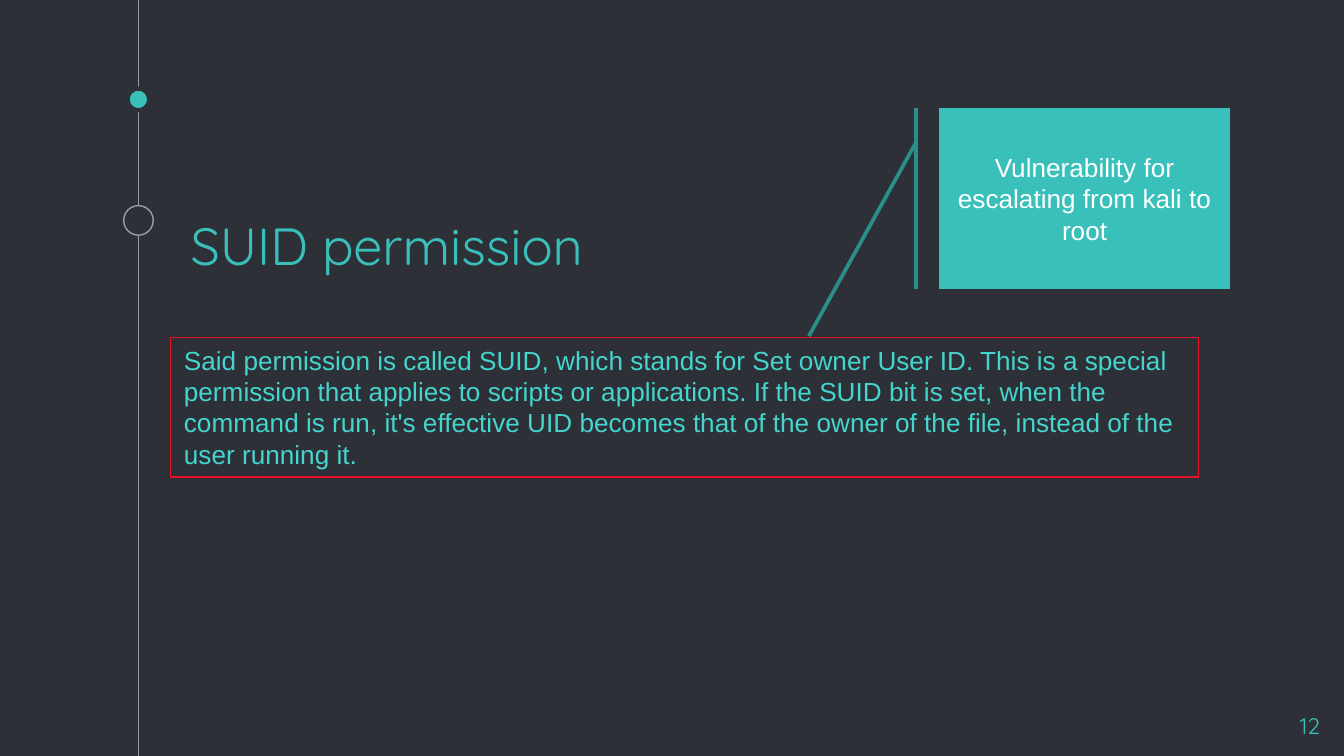
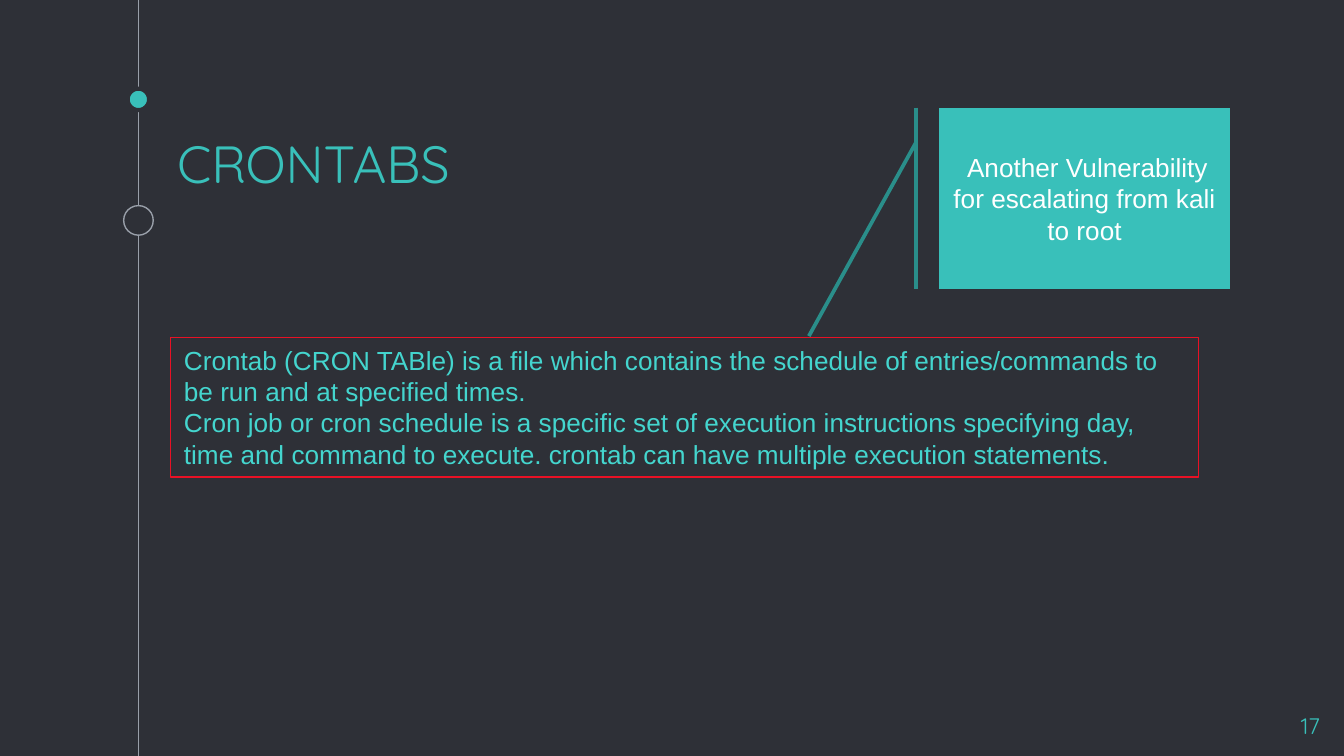
from lxml.etree import SubElement
from pptx import Presentation
from pptx.dml.color import RGBColor
from pptx.enum.shapes import MSO_CONNECTOR as LINE, MSO_SHAPE as SHAPE
from pptx.enum.text import MSO_ANCHOR as ANCHOR, PP_ALIGN as ALIGN
from pptx.oxml.ns import qn
from pptx.util import Inches, Pt

C = {
    "bg": "2E3037", "rail": "999FA9", "teal": "39C0BA", "dark_teal": "2A8E8A",
    "body": "44D5CE", "red": "E91125", "white": "FFFFFF",
}
HEAD, BODY = "Quicksand", "Arial"

# Grid: 100 square cells across a 16:9 slide
COLS, ROWS = 100, 56.25
CELL = Inches(10) // COLS

# Regions as (column, row, columns, rows)
RAIL = (9.2, 0, 2.2, ROWS)
NUMBER = (93.2, 52, 6, 3.4)
NOTE = (12.7, 25.1, 76.5, 10.4)
CALLOUT = (69.9, 8, 21.6, 13.5)
TITLE_SIZE = (47.5, 3.8)
CALLOUT_ADJ = (0.19, -0.08, 1.26, -0.45)  # line start y, x and end y, x

SLIDES = [
    {
        "number": "12", "title": "SUID permission", "title_at": (13.2, 17.7),
        "callout": "Vulnerability for escalating from kali to root",
        "note": [
            "Said permission is called SUID, which stands for Set owner User ID. "
            "This is a special permission that applies to scripts or applications. "
            "If the SUID bit is set, when the command is run, it's effective UID "
            "becomes that of the owner of the file, instead of the user running it.",
        ],
    },
    {
        "number": "17", "title": "CRONTABS", "title_at": (12.2, 11.6),
        "callout": " Another Vulnerability for escalating from kali to root",
        "note": [
            "Crontab (CRON TABle) is a file which contains the schedule of "
            "entries/commands to be run and at specified times.",
            "Cron job or cron schedule is a specific set of execution instructions "
            "specifying day, time and command to execute. crontab can have "
            "multiple execution statements.",
        ],
    },
]


def rgb(name):
    return RGBColor.from_string(C[name])


def emu(box):
    return [round(v * CELL) for v in box]


def set_line(line, color, width):
    line.color.rgb = rgb(color)
    line.width = Pt(width)


def add_shape(s, kind, box, fill, line, width):
    sp = s.shapes.add_shape(kind, *emu(box))
    sp.shadow.inherit = False
    if fill:
        sp.fill.solid()
        sp.fill.fore_color.rgb = rgb(fill)
    else:
        sp.fill.background()
    set_line(sp.line, line, width)
    return sp


def write(sp, paragraphs, font, size, color, align=ALIGN.LEFT,
          anchor=ANCHOR.TOP, inset=None):
    tf = sp.text_frame
    tf.word_wrap = True
    tf.vertical_anchor = anchor
    if inset is not None:
        tf.margin_left = tf.margin_right = inset
        tf.margin_top = tf.margin_bottom = inset
    for i, text in enumerate(paragraphs):
        p = tf.add_paragraph() if i else tf.paragraphs[0]
        p.alignment = align
        r = p.add_run()
        r.text = text
        r.font.name, r.font.size = font, Pt(size)
        r.font.color.rgb = rgb(color)


def add_rail(s, box):
    x, y, w, h = box
    mid = x + w / 2
    # Vertical line
    x1, y1, x2, y2 = emu((mid, y, mid, y + h))
    rail = s.shapes.add_connector(LINE.STRAIGHT, x1, y1, x2, y2)
    set_line(rail.line, "rail", 0.75)
    SubElement(rail.element.spPr, qn("a:effectLst"))
    # Small dot and open ring centred on the line
    for top, size, fill, line, width in (
        (6.6, 1.6, "teal", "bg", 2.25),
        (15.3, w, "bg", "rail", 0.75),
    ):
        dot = (mid - size / 2, y + top, size, size)
        add_shape(s, SHAPE.OVAL, dot, fill, line, width)


def add_label(s, box, text, size, align, anchor):
    sp = s.shapes.add_textbox(*emu(box))
    write(sp, [text], HEAD, size, "teal", align, anchor, CELL)


def add_note(s, box, paragraphs):
    sp = add_shape(s, SHAPE.RECTANGLE, box, None, "red", 0.75)
    write(sp, paragraphs, BODY, 14, "body")


def add_callout(s, box, text):
    sp = add_shape(s, SHAPE.LINE_CALLOUT_1_ACCENT_BAR, box, "teal", "dark_teal", 2)
    for i, value in enumerate(CALLOUT_ADJ):
        sp.adjustments[i] = value
    write(sp, [text], BODY, 14, "white", ALIGN.CENTER, ANCHOR.MIDDLE)


def add_topic_slide(prs, topic):
    s = prs.slides.add_slide(prs.slide_layouts[6])
    s.background.fill.solid()
    s.background.fill.fore_color.rgb = rgb("bg")
    add_rail(s, RAIL)
    add_label(s, NUMBER, topic["number"], 12, ALIGN.RIGHT, ANCHOR.TOP)
    add_label(s, topic["title_at"] + TITLE_SIZE, topic["title"], 28,
              ALIGN.LEFT, ANCHOR.BOTTOM)
    add_note(s, NOTE, topic["note"])
    add_callout(s, CALLOUT, topic["callout"])


def main():
    prs = Presentation()
    prs.slide_width, prs.slide_height = emu((COLS, ROWS))
    for topic in SLIDES:
        add_topic_slide(prs, topic)
    prs.save("out.pptx")


if __name__ == "__main__":
    main()
